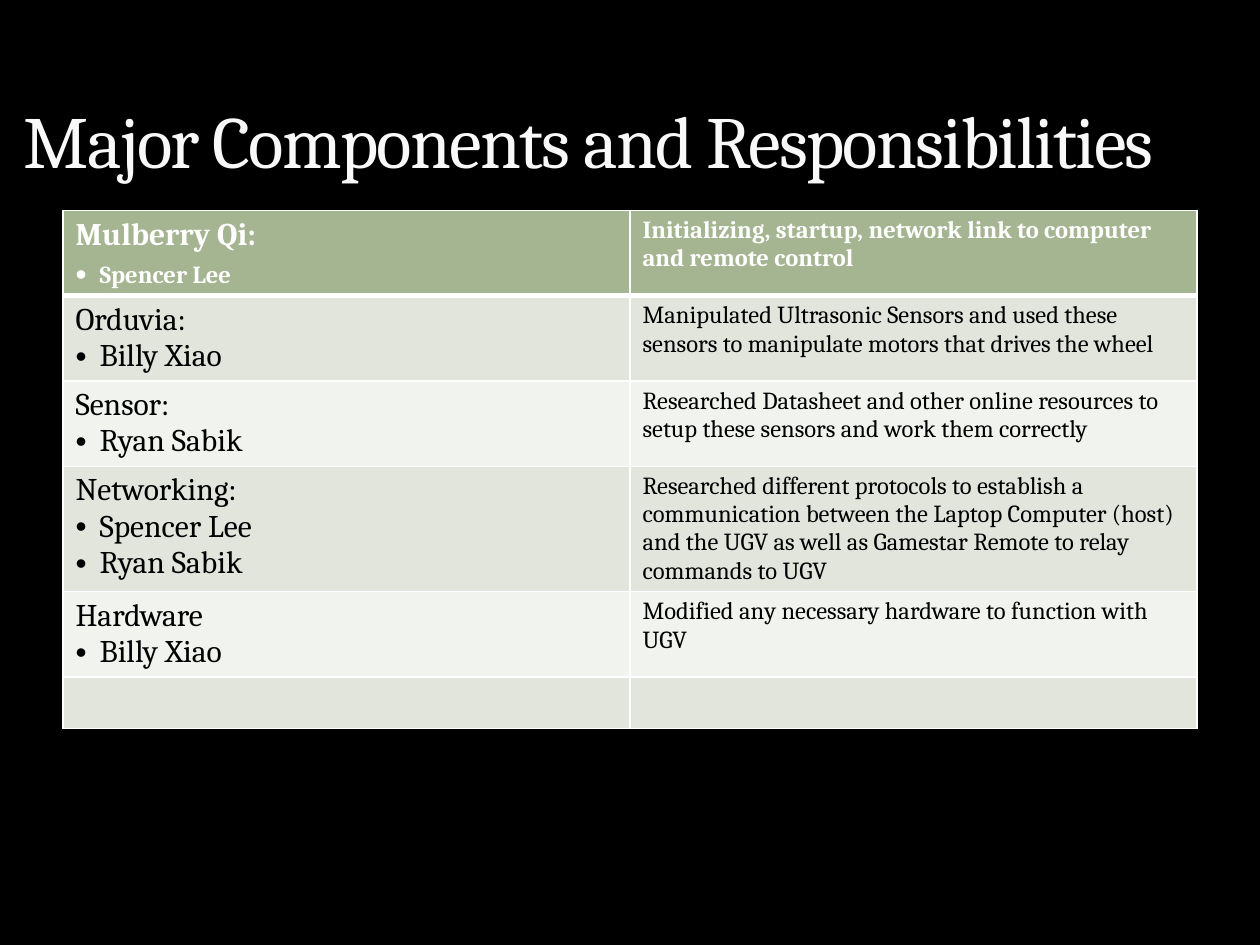
import pptx
import pptx.util
import pptx.dml.color
import pptx.enum.text
import pptx.oxml
import pptx.oxml.ns
from lxml import etree

Inches, Pt = pptx.util.Inches, pptx.util.Pt
RGB = pptx.dml.color.RGBColor.from_string
COLORS = {"background": "000000", "title": "F9F9F9", "header": "A5B592",
          "odd": "E1E5DC", "even": "F0F3EE", "white": "FFFFFF", "text": "000000"}


def add_text(p, text, size=18, color="text", bold=False, spacing=None,
             bullet=None, before=0):
    """Write text into a paragraph; bullet is the bullet size in percent."""
    p.space_before = Pt(before)
    r = p.add_run()
    r.text = text
    r.font.name = "Cambria"
    r.font.size = Pt(size)
    r.font.bold = bold
    r.font.color.rgb = RGB(COLORS[color])
    if spacing is not None:
        r.font._element.set("spc", str(int(spacing * 100)))
    if bullet:
        pPr = p._p.get_or_add_pPr()
        pPr.set("marL", str(Inches(0.19)))
        pPr.set("indent", str(-Inches(0.19)))
        for tag, attrs in (("a:buSzPct", {"val": str(bullet * 1000)}),
                           ("a:buFont", {"typeface": "Arial"}),
                           ("a:buChar", {"char": "•"})):
            etree.SubElement(pPr, pptx.oxml.ns.qn(tag), attrs)


def set_border(cell, side, width):
    """Draw one white edge (L, R, T or B) of a table cell."""
    tcPr = cell._tc.get_or_add_tcPr()
    tcPr.append(pptx.oxml.parse_xml(
        f'<a:ln{side} {pptx.oxml.ns.nsdecls("a")} w="{Pt(width)}"><a:solidFill>'
        f'<a:srgbClr val="{COLORS["white"]}"/></a:solidFill></a:ln{side}>'))


prs = pptx.Presentation()
prs.slide_width, prs.slide_height = Inches(10), Inches(7.5)
s = prs.slides.add_slide(prs.slide_layouts[6])
s.background.fill.solid()
s.background.fill.fore_color.rgb = RGB(COLORS["background"])

rows = [
    ("Mulberry Qi:", ["Spencer Lee"],
     "Initializing, startup, network link to computer and remote control"),
    ("Orduvia:", ["Billy Xiao"],
     "Manipulated Ultrasonic Sensors and used these sensors to manipulate "
     "motors that drives the wheel"),
    ("Sensor:", ["Ryan Sabik"],
     "Researched Datasheet and other online resources to setup these sensors "
     "and work them correctly"),
    ("Networking:", ["Spencer Lee", "Ryan Sabik"],
     "Researched different protocols to establish a communication between the "
     "Laptop Computer (host) and the UGV as well as Gamestar Remote to relay "
     "commands to UGV"),
    ("Hardware", ["Billy Xiao"],
     "Modified any necessary hardware to function with UGV"),
    ("", [], ""),
]
table = s.shapes.add_table(len(rows), 2, Inches(0.5), Inches(1.67),
                           Inches(9), Inches(0.41 * len(rows))).table
for i, (component, people, duty) in enumerate(rows):
    header = i == 0
    fill = "header" if header else "odd" if i % 2 else "even"
    style = {"color": "white" if header else "text", "bold": header}
    for cell in table.rows[i].cells:
        for side in "LRTB":
            thick = (header and side == "B") or (i == 1 and side == "T")
            set_border(cell, side, 3 if thick else 1)
        cell.fill.solid()
        cell.fill.fore_color.rgb = RGB(COLORS[fill])
    if not component:
        continue
    left, right = (cell.text_frame for cell in table.rows[i].cells)
    add_text(left.paragraphs[0], component, **style)
    for person in people:
        add_text(left.add_paragraph(), person, size=14 if header else 18,
                 bullet=129 if header else 100, before=4.5 if header else 0, **style)
    add_text(right.paragraphs[0], duty, size=14, **style)

tf = s.shapes.add_textbox(Inches(0.09), Inches(0.17), Inches(10.16), Inches(1.33)).text_frame
tf.word_wrap = True
tf.vertical_anchor = pptx.enum.text.MSO_ANCHOR.BOTTOM
add_text(tf.paragraphs[0], "Major Components and Responsibilities",
         size=42, color="title", spacing=-1)

prs.save("out.pptx")
